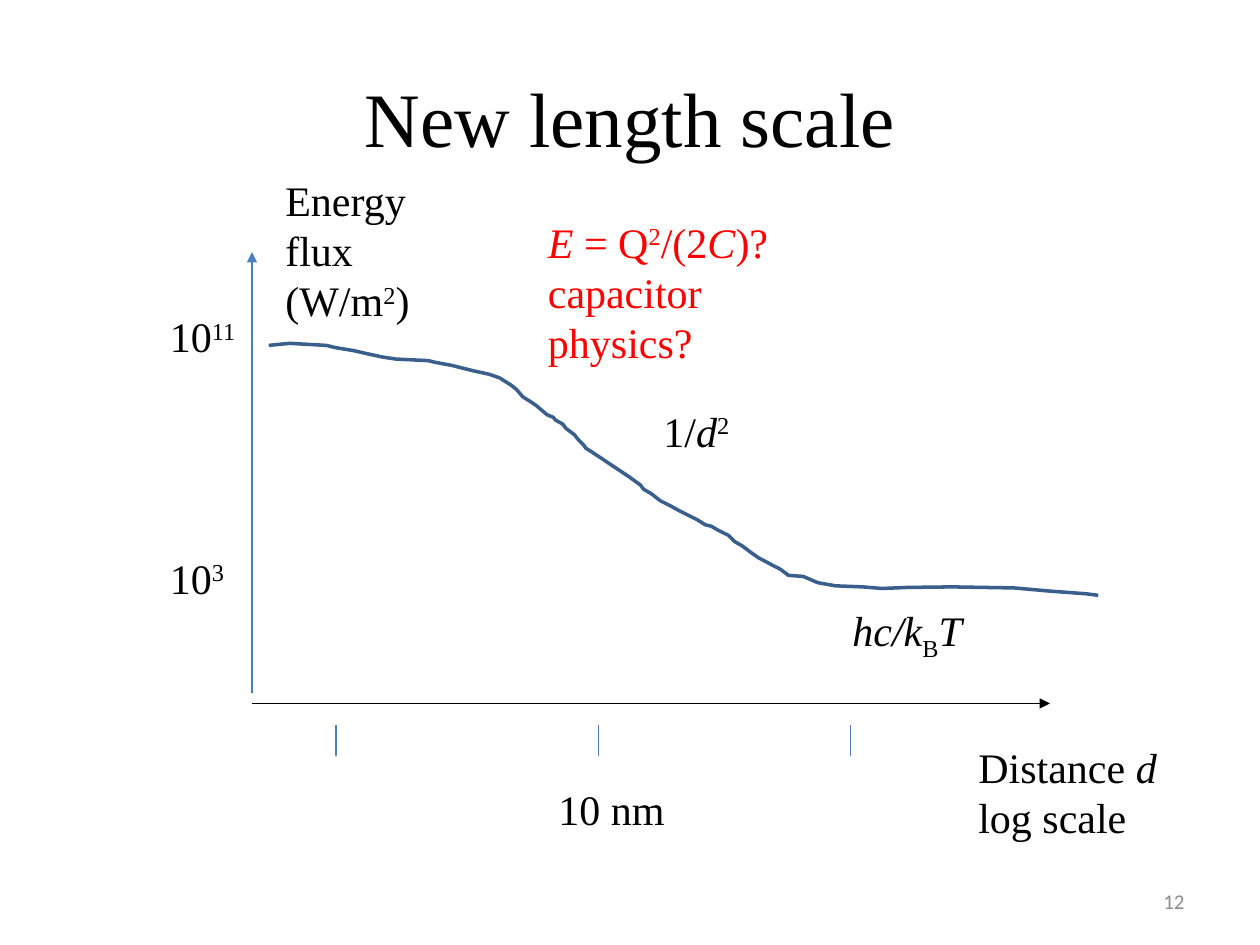
from pptx import Presentation
from pptx.dml.color import RGBColor
from pptx.enum.shapes import MSO_CONNECTOR
from pptx.enum.text import MSO_ANCHOR, PP_ALIGN
from pptx.oxml.ns import qn
from pptx.util import Inches, Pt
from lxml import etree

BLACK = RGBColor(0x00, 0x00, 0x00)
RED = RGBColor(0xFF, 0x00, 0x00)
GREY = RGBColor(0x8C, 0x8C, 0x8C)
AXIS_BLUE = RGBColor(0x4B, 0x7E, 0xBC)
CURVE_BLUE = RGBColor(0x3A, 0x5F, 0x8C)
STRAIGHT = MSO_CONNECTOR.STRAIGHT
MIDDLE, TOP = MSO_ANCHOR.MIDDLE, MSO_ANCHOR.TOP
LEFT, CENTER, RIGHT = PP_ALIGN.LEFT, PP_ALIGN.CENTER, PP_ALIGN.RIGHT

SERIF, SANS = "Times New Roman", "Calibri"
CELL = Inches(1) // 12
COLS, ROWS = 120, 90
ITALIC = {"italic": True}
SUPER = {"baseline": 30000}
SUB = {"baseline": -25000}

TICKS = (8, 33, 57)
CURVE = [
    (1.6, 8.9), (3.6, 8.7), (7.1, 8.9), (7.9, 9.1), (9.7, 9.4), (11, 9.7),
    (12.4, 10), (13.7, 10.2), (16.8, 10.35), (17.4, 10.5), (19, 10.8),
    (21, 11.3), (22.6, 11.65), (23.6, 12), (24.7, 12.7), (25.2, 13.1),
    (25.8, 13.8), (26.6, 14.3), (27.1, 14.65), (28.1, 15.5), (28.7, 15.75),
    (28.9, 16), (29.6, 16.4), (29.9, 16.8), (30.7, 17.4), (31.1, 17.9),
    (31.6, 18.4), (31.8, 18.7), (32.3, 19), (33.5, 19.8), (34.4, 20.4),
    (35.9, 21.4), (37, 22.2), (37.3, 22.6), (38, 23), (38.9, 23.7),
    (39.8, 24.15), (40.8, 24.7), (41.6, 25.1), (42.4, 25.5), (43.2, 26),
    (43.7, 26.1), (44.4, 26.5), (45.4, 27), (46, 27.6), (46.7, 28),
    (47.5, 28.6), (48.2, 29.1), (49.7, 29.9), (50.3, 30.2), (51.1, 30.8),
    (52.5, 30.9), (53.9, 31.5), (55.6, 31.8), (58.2, 31.9), (60, 32.05),
    (62.4, 31.95), (66.7, 31.9), (72.6, 32), (76, 32.3), (79.4, 32.55),
    (80.6, 32.7),
]
LABELS = [
    ((68, 46, 23, 11), BLACK, [("Distance ", {}), ("d", ITALIC), (" log scale", {})]),
    ((2, -8, 17, 15.75), BLACK, [("Energy flux (W/m", {}), ("2", SUPER), (")", {})]),
    ((38, 14, 10, 6), BLACK, [("1/", {}), ("d", ITALIC), ("2", SUPER)]),
    ((28, 50, 13, 6), BLACK, [("10 nm", {})]),
    ((-9, 5, 10.5, 6), BLACK, [("10", {}), ("11", SUPER)]),
    ((-9, 28, 10.5, 6), BLACK, [("10", {}), ("3", SUPER)]),
    ((56, 33, 15, 6), BLACK, [("hc/k", ITALIC), ("B", SUB), ("T", ITALIC)]),
    ((27, -4, 27, 15.75), RED, [("E ", ITALIC), ("= Q", {}), ("2", SUPER), ("/(2", {}),
                                ("C", ITALIC), (")? capacitor physics?", {})]),
]


def cells(*values):
    """Convert grid cells to slide lengths."""
    return [round(v * CELL) for v in values]


def write(tf, runs, size=24, font=SERIF, color=BLACK, align=LEFT, anchor=TOP):
    """Fill a text frame with one paragraph of formatted runs."""
    tf.word_wrap = True
    tf.vertical_anchor = anchor
    p = tf.paragraphs[0]
    p.alignment = align
    for text, style in runs:
        r = p.add_run()
        r.text = text
        r.font.size = Pt(size)
        r.font.name = font
        r.font.color.rgb = color
        r.font.italic = style.get("italic", False)
        if "baseline" in style:
            r.font._element.set("baseline", str(style["baseline"]))


def add_line(s, start, end, color, arrow=False):
    """Draw a thin straight line, with an arrowhead at its end if asked."""
    c = s.shapes.add_connector(STRAIGHT, *cells(*start, *end))
    c.line.color.rgb = color
    c.line.width = Pt(0.75)
    if arrow:
        etree.SubElement(c.line._get_or_add_ln(), qn("a:tailEnd"), type="triangle")
    etree.SubElement(c._element.spPr, qn("a:effectLst"))


def add_title(s, box):
    """Place the title placeholder in the box."""
    sp = s.shapes.title
    sp.left, sp.top, sp.width, sp.height = cells(*box)
    write(sp.text_frame, [("New length scale", {})], size=44, align=CENTER, anchor=MIDDLE)


def add_page_number(s, box):
    """Place the page number in the box."""
    sp = s.shapes.add_textbox(*cells(*box))
    write(sp.text_frame, [("12", {})], size=12, font=SANS, color=GREY,
          align=RIGHT, anchor=MIDDLE)


def add_plot(s, box):
    """Draw the axes, ticks, flux curve and labels of the plot in the box."""
    x, y, w, h = box
    add_line(s, (x, y + h), (x + w, y + h), BLACK, arrow=True)
    add_line(s, (x, y + h - 1), (x, y), AXIS_BLUE, arrow=True)
    for tick in TICKS:
        add_line(s, (x + tick, y + h + 2), (x + tick, y + h + 5), AXIS_BLUE)

    points = [cells(x + dx, y + dy) for dx, dy in CURVE]
    builder = s.shapes.build_freeform(*points[0])
    builder.add_line_segments(points[1:], close=False)
    sp = builder.convert_to_shape()
    sp.shadow.inherit = False
    sp.fill.background()
    sp.line.color.rgb = CURVE_BLUE
    sp.line.width = Pt(2)

    for (dx, dy, width, height), color, runs in LABELS:
        sp = s.shapes.add_textbox(*cells(x + dx, y + dy, width, height))
        write(sp.text_frame, runs, color=color)


def main():
    """Build the slide and save it."""
    prs = Presentation()
    prs.slide_width, prs.slide_height = cells(COLS, ROWS)
    s = prs.slides.add_slide(prs.slide_layouts[5])
    add_title(s, (6, 3.6, 108, 15))
    add_page_number(s, (86, 83.4, 28, 4.8))
    add_plot(s, (24, 24, 76, 43))
    prs.save("out.pptx")


if __name__ == "__main__":
    main()
